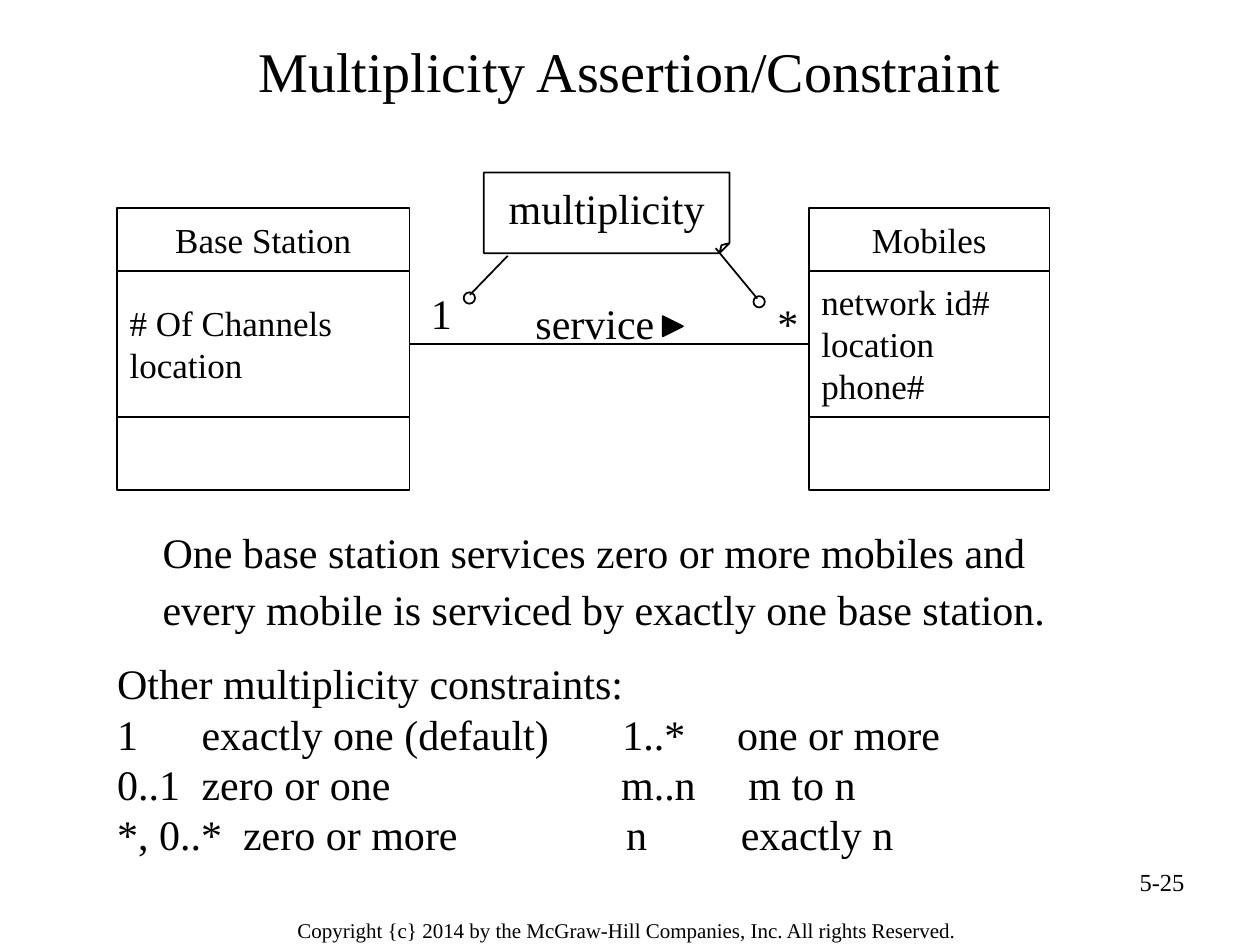
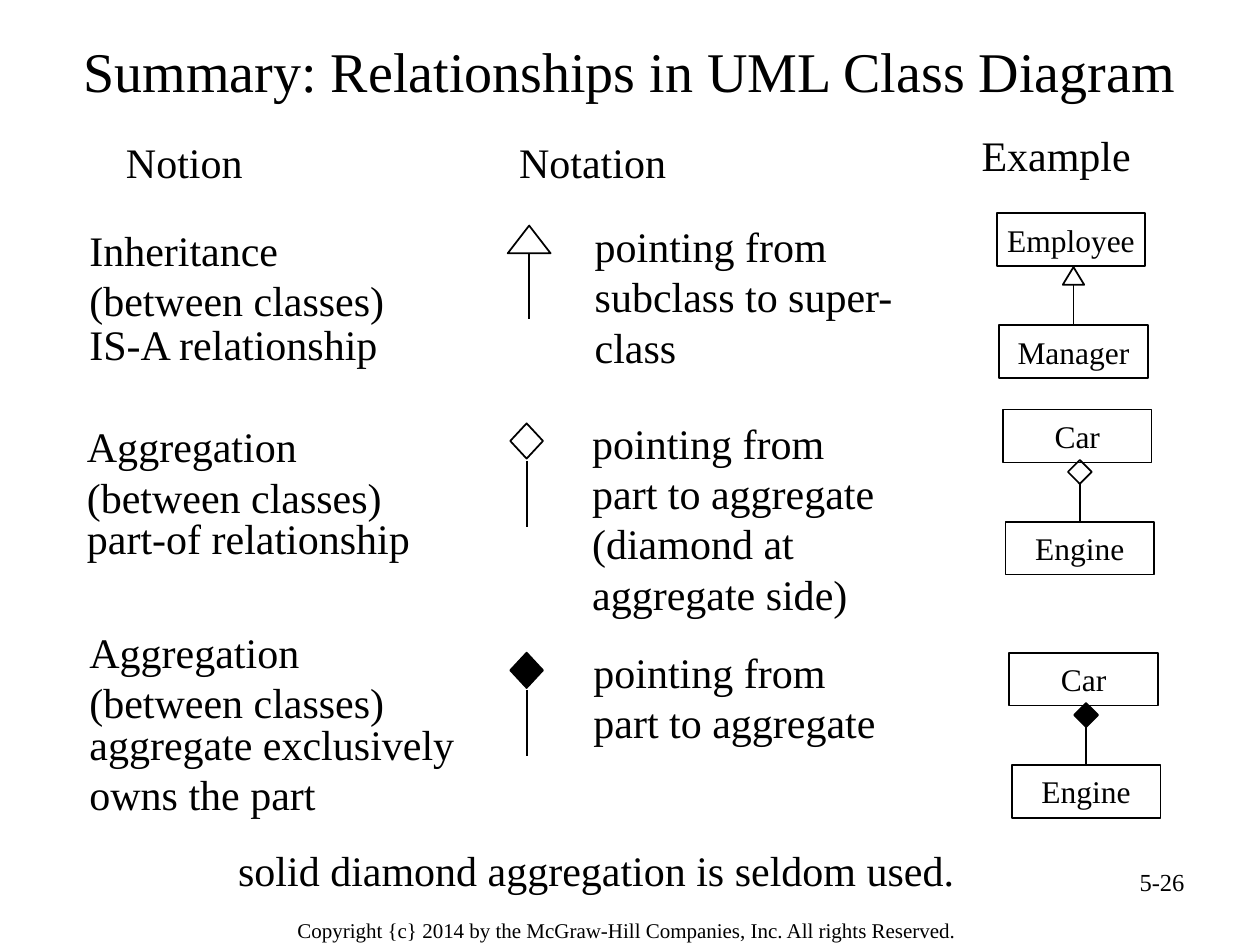
from lxml import etree
from pptx import Presentation
from pptx.dml.color import RGBColor
from pptx.enum.shapes import MSO_CONNECTOR, MSO_SHAPE
from pptx.enum.text import MSO_ANCHOR, MSO_AUTO_SIZE, PP_ALIGN
from pptx.oxml.ns import qn
from pptx.util import Inches, Pt

COLORS = {"ink": "000000", "paper": "FFFFFF"}
FONT = "Times New Roman"
COPYRIGHT = "Copyright {c} 2014 by the McGraw-Hill Companies, Inc. All rights Reserved."
TITLE_ONLY = 5
STRAIGHT = MSO_CONNECTOR.STRAIGHT
RECT, OVAL = MSO_SHAPE.RECTANGLE, MSO_SHAPE.OVAL
TRIANGLE, DIAMOND = MSO_SHAPE.ISOSCELES_TRIANGLE, MSO_SHAPE.DIAMOND
NOTE = MSO_SHAPE.FOLDED_CORNER
LEFT, CENTER, RIGHT = PP_ALIGN.LEFT, PP_ALIGN.CENTER, PP_ALIGN.RIGHT
TOP_ANCHOR, MIDDLE = MSO_ANCHOR.TOP, MSO_ANCHOR.MIDDLE
NO_FIT = MSO_AUTO_SIZE.NONE
TOP, LEFT_SIDE, RIGHT_SIDE = 0, 1, 3


def rgb(name):
    return RGBColor.from_string(COLORS[name])


def add_tabs(para, stops):
    tabs = etree.SubElement(para._p.get_or_add_pPr(), qn("a:tabLst"))
    for stop in stops:
        etree.SubElement(tabs, qn("a:tab"), pos=str(Inches(stop)), algn="l")


def write(box, lines, size, align=LEFT, anchor=TOP_ANCHOR, margins=(0, 0),
          spacing=1.0, gap=0, tabs=None):
    frame = box.text_frame
    frame.word_wrap = True
    frame.auto_size = NO_FIT
    frame.vertical_anchor = anchor
    frame.margin_left = frame.margin_right = Inches(margins[0])
    frame.margin_top = frame.margin_bottom = Inches(margins[1])
    for index, line in enumerate(lines):
        para = frame.add_paragraph() if index else frame.paragraphs[0]
        para.text = line
        if tabs and tabs[index]:
            add_tabs(para, tabs[index])
        para.alignment = align
        para.line_spacing = spacing
        para.space_before = Pt(gap if index else 0)
        para.font.name = FONT
        para.font.size = Pt(size)
        para.font.color.rgb = rgb("ink")


def add_text(page, left, top, width, height, lines, size=24, **style):
    box = page.shapes.add_textbox(*map(Inches, (left, top, width, height)))
    write(box, lines, size, **style)


def add_outline(page, kind, left, top, width, height, fill=None):
    shape = page.shapes.add_shape(kind, *map(Inches, (left, top, width, height)))
    shape.shadow.inherit = False
    if fill:
        shape.fill.solid()
        shape.fill.fore_color.rgb = rgb(fill)
    else:
        shape.fill.background()
    shape.line.color.rgb = rgb("ink")
    shape.line.width = Pt(1)
    return shape


def add_line(page, start=(0, 0), end=(0, 0)):
    line = page.shapes.add_connector(STRAIGHT, *map(Inches, (*start, *end)))
    line.line.color.rgb = rgb("ink")
    line.line.width = Pt(1)
    etree.SubElement(line._element.spPr, qn("a:effectLst"))
    return line


def add_page(deck, title, number):
    page = deck.slides.add_slide(deck.slide_layouts[TITLE_ONLY])
    heading = page.shapes.title
    heading.left, heading.top = Inches(0.5), Inches(0.19)
    heading.width, heading.height = Inches(9), Inches(0.73)
    write(heading, [title], 32, CENTER, MIDDLE, (0.1, 0.05))
    add_text(page, 1.88, 7.22, 6.19, 0.31, [COPYRIGHT], 12,
             align=CENTER, margins=(0.11, 0.06))
    add_text(page, 7.17, 6.83, 2.33, 0.52, [number], 14,
             align=RIGHT, margins=(0.1, 0.05))
    return page


def add_class(page, left, width, name, attributes):
    header = add_outline(page, RECT, left, 1.65, width, 0.5, "paper")
    write(header, [name], 20, CENTER, MIDDLE, (0.1, 0.05))
    body = add_outline(page, RECT, left, 2.15, width, 1.16, "paper")
    write(body, attributes, 20, LEFT, MIDDLE, (0.1, 0.05))
    add_outline(page, RECT, left, 3.31, width, 0.58, "paper")
    return body


def add_note(page, left, top, width, height, label):
    note = add_outline(page, NOTE, left, top, width, height)
    guides = note._element.spPr.find(qn("a:prstGeom")).get_or_add_avLst()
    etree.SubElement(guides, qn("a:gd"), name="adj", fmla="val 12500")
    write(note, [label], 24, CENTER, MIDDLE)


def add_notation(page, kind, fill, center, top, width, height, stem_top):
    add_outline(page, kind, center - width / 2, top, width, height, fill)
    add_line(page, (center, stem_top), (center, stem_top + 0.52))


def add_example(page, kind, fill, left, top, whole, part):
    boxes = []
    for name, x, y in ((whole, left, top), (part, left + 0.02, top + 0.89)):
        box = add_outline(page, RECT, x, y, 1.18, 0.42)
        write(box, [name], 18, CENTER, MIDDLE)
        boxes.append(box)
    width, height, drop = (0.17, 0.14, 0.43) if kind == TRIANGLE else (0.19, 0.19, 0.4)
    center = left + 0.61
    add_outline(page, kind, center - width / 2, top + drop, width, height, fill)
    stem = add_line(page, (center, top + drop + height), (center, top + 0.89))
    stem.end_connect(boxes[1], TOP)


def build_multiplicity(deck):
    page = add_page(deck, "Multiplicity Assertion/Constraint", "5-25")
    mobiles = add_class(page, 6.42, 1.91, "Mobiles", ["network id#", "location", "phone#"])
    station = add_class(page, 0.93, 2.32, "Base Station", ["# Of Channels", "location"])
    service = add_line(page)
    service.begin_connect(station, RIGHT_SIDE)
    service.end_connect(mobiles, LEFT_SIDE)

    for label, left, top, width in (("*", 6.17, 2.36, 0.25), ("1", 3.42, 2.28, 0.25),
                                    ("service", 4.25, 2.36, 1)):
        add_text(page, left, top, width, 0.4, [label])
    direction = add_outline(page, TRIANGLE, 5.26, 2.51, 0.16, 0.16, "ink")
    direction.rotation = 90

    add_text(page, 1.29, 4.32, 7.4, 0.69,
             ["One base station services zero or more mobiles and",
              "every mobile is serviced by exactly one base station."],
             spacing=0.6, gap=15)
    add_text(page, 0.93, 5.22, 7.4, 1.6,
             ["Other multiplicity constraints:",
              "1\texactly one (default)\t1..*\tone or more",
              "0..1\tzero or one\tm..n\tm to n",
              "*, 0..*\tzero or more\tn\texactly n"],
             tabs=[None, (0.67, 4.01, 4.92), (0.67, 4, 5.01), (1, 4.04, 4.95)])

    add_note(page, 3.84, 1.37, 1.95, 0.64, "multiplicity")
    for left, top in ((3.68, 2.32), (5.98, 2.35)):
        add_outline(page, OVAL, left, top, 0.09, 0.09)
    add_line(page, (3.73, 2.34), (4.03, 2.03))
    add_line(page, (6.01, 2.37), (5.68, 1.97))


def build_summary(deck):
    page = add_page(deck, "Summary: Relationships in UML Class Diagram", "5-26")
    for heading, left, top in (("Notion", 1, 1.08), ("Notation", 4.12, 1.08),
                               ("Example", 7.79, 1.03)):
        add_text(page, left, top, 1.5, 0.4, [heading])

    notions = (
        (0.71, 1.78, "Inheritance", 2.53, ["IS-A relationship"]),
        (0.69, 3.34, "Aggregation", 4.07, ["part-of relationship"]),
        (0.71, 4.97, "Aggregation", 5.7, ["aggregate exclusively", "owns the part"]),
    )
    for left, top, name, meaning_top, meaning in notions:
        add_text(page, left, top, 3.1, 0.8, [name, "(between classes)"])
        add_text(page, left, meaning_top, 3.1, 0.4 * len(meaning), meaning)

    add_notation(page, TRIANGLE, None, 4.2, 1.79, 0.34, 0.22, 2.01)
    add_notation(page, DIAMOND, None, 4.18, 3.36, 0.26, 0.28, 3.66)
    add_notation(page, DIAMOND, "ink", 4.18, 5.18, 0.26, 0.28, 5.48)

    part_to_whole = ["pointing from", "part to aggregate"]
    readings = (
        (4.72, 1.75, ["pointing from", "subclass to super-", "class"]),
        (4.7, 3.31, part_to_whole + ["(diamond at", "aggregate side)"]),
        (4.71, 5.13, part_to_whole),
    )
    for left, top, lines in readings:
        add_text(page, left, top, 2.8, 0.4 * len(lines), lines)

    add_example(page, TRIANGLE, None, 7.91, 1.69, "Employee", "Manager")
    add_example(page, DIAMOND, None, 7.96, 3.25, "Car", "Engine")
    add_example(page, DIAMOND, "ink", 8.01, 5.18, "Car", "Engine")
    add_text(page, 1.89, 6.75, 5.84, 0.36,
             ["solid diamond aggregation is seldom used."], spacing=0.9)


def main():
    deck = Presentation()
    deck.slide_width, deck.slide_height = Inches(10), Inches(7.5)
    build_multiplicity(deck)
    build_summary(deck)
    deck.save("out.pptx")


if __name__ == "__main__":
    main()
